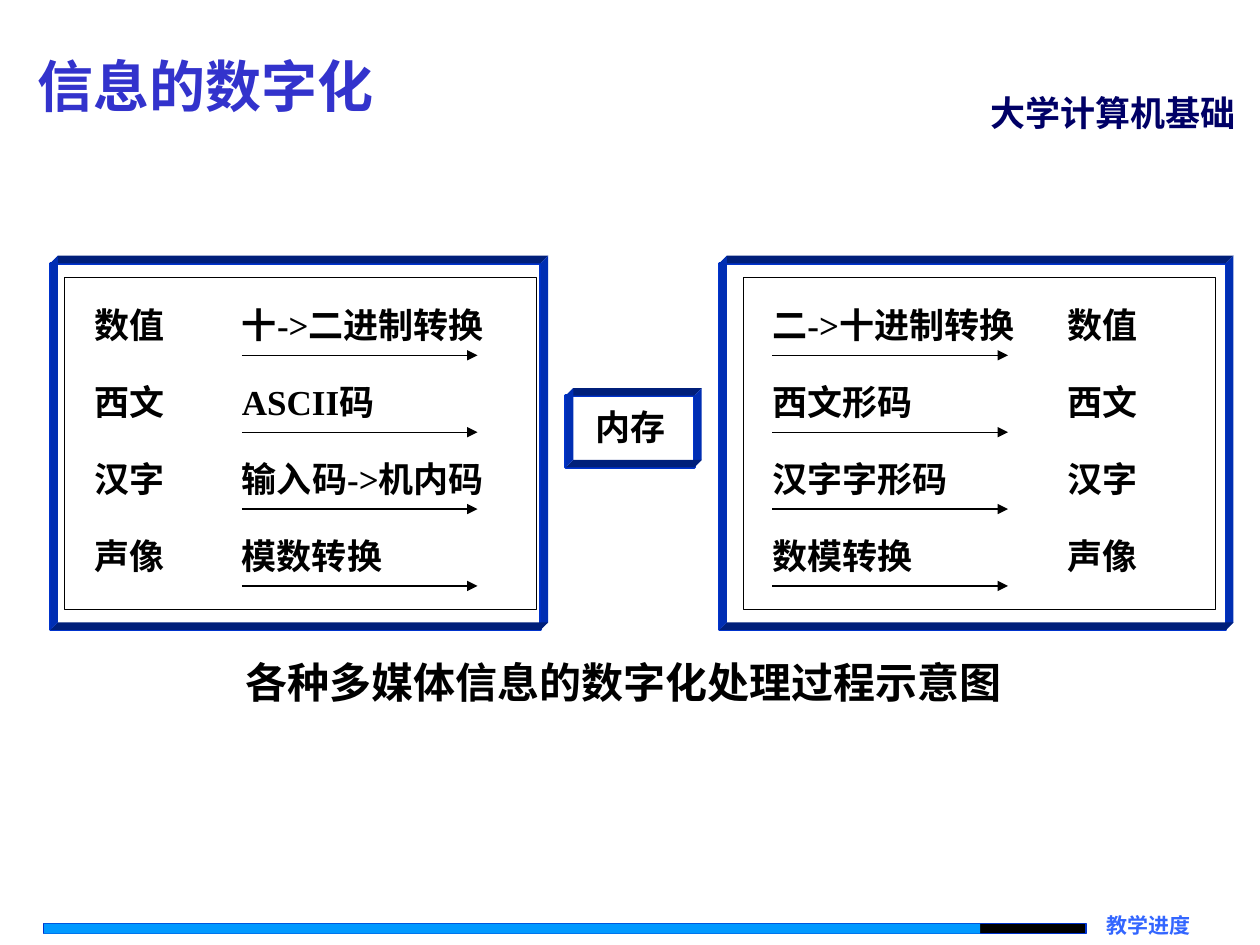
from dataclasses import dataclass

from lxml import etree
from pptx import Presentation
from pptx.dml.color import RGBColor
from pptx.enum.shapes import MSO_CONNECTOR, MSO_SHAPE
from pptx.enum.text import MSO_ANCHOR, PP_ALIGN
from pptx.oxml.ns import qn
from pptx.util import Inches, Pt

RECTANGLE = MSO_SHAPE.RECTANGLE
STRAIGHT = MSO_CONNECTOR.STRAIGHT
TOP, MIDDLE = MSO_ANCHOR.TOP, MSO_ANCHOR.MIDDLE
LEFT, RIGHT, JUSTIFY = PP_ALIGN.LEFT, PP_ALIGN.RIGHT, PP_ALIGN.JUSTIFY


@dataclass(frozen=True)
class Theme:
    latin: str = "Times New Roman"
    chinese: str = "Noto Sans CJK SC"
    black: str = "000000"
    white: str = "FFFFFF"
    title: str = "3333CC"
    course: str = "000066"
    footer: str = "3366FF"
    progress: str = "0099FF"
    frame: str = "0033CC"
    wall_dark: str = "001F7A"
    wall_light: str = "002EB3"
    title_size: int = 32
    caption_size: int = 24
    label_size: int = 20
    footer_size: int = 12
    thin: float = 0.75
    thick: float = 1.5


def write_text(shape, text, *, size, color, font, align=LEFT, anchor=TOP,
               margins=(0.1, 0.05), wrap=True):
    frame = shape.text_frame
    frame.word_wrap = wrap
    frame.vertical_anchor = anchor
    frame.margin_left = frame.margin_right = Inches(margins[0])
    frame.margin_top = frame.margin_bottom = Inches(margins[1])
    para = frame.paragraphs[0]
    para.alignment = align
    span = para.add_run()
    span.text = text
    span.font.size = Pt(size)
    span.font.bold = True
    span.font.name = font
    span.font.color.rgb = RGBColor.from_string(color)
    east_asian = etree.SubElement(span.font._element, qn("a:ea"))
    east_asian.set("typeface", Theme.chinese)


class SlideBuilder:
    def __init__(self, page, theme):
        self.page = page
        self.theme = theme

    def paint(self, shape, fill, line, width):
        shape.shadow.inherit = False
        if fill:
            shape.fill.solid()
            shape.fill.fore_color.rgb = RGBColor.from_string(fill)
        else:
            shape.fill.background()
        if line:
            shape.line.color.rgb = RGBColor.from_string(line)
            shape.line.width = Pt(width)
        else:
            shape.line.fill.background()

    def title(self, text, *place, **style):
        box = self.page.shapes.title
        box.left, box.top, box.width, box.height = map(Inches, place)
        write_text(box, text, **style)

    def text(self, text, *place, **style):
        box = self.page.shapes.add_textbox(*map(Inches, place))
        write_text(box, text, **style)

    def rectangle(self, *place, fill=None, line=None, width=Theme.thin):
        box = self.page.shapes.add_shape(RECTANGLE, *map(Inches, place))
        self.paint(box, fill, line, width)
        return box

    def label(self, text, left, top, width):
        theme = self.theme
        box = self.rectangle(left, top, width, 0.41, fill=theme.white)
        font = theme.latin if any(char.isascii() for char in text) else theme.chinese
        write_text(box, text, size=theme.label_size, color=theme.black,
                   font=font, align=JUSTIFY, margins=(0, 0))

    def arrow(self, left, top, length):
        line = self.page.shapes.add_connector(
            STRAIGHT, *map(Inches, (left, top, left + length, top)))
        line.line.color.rgb = RGBColor.from_string(self.theme.black)
        line.line.width = Pt(self.theme.thin)
        head = etree.SubElement(line.line._get_or_add_ln(), qn("a:tailEnd"))
        head.set("type", "triangle")
        etree.SubElement(line._element.spPr, qn("a:effectLst"))

    def deep_frame(self, left, top, width, height, depth=0.06):
        """Open box whose four walls recede up and to the right."""
        theme = self.theme
        self.rectangle(left, top, width, height, line=theme.frame, width=theme.thick)
        right, bottom = left + width, top + height
        corners = [(left, top), (right, top), (right, bottom), (left, bottom)]
        for index, (x1, y1) in enumerate(corners):
            x2, y2 = corners[(index + 1) % 4]
            outline = self.page.shapes.build_freeform(Inches(x1), Inches(y1))
            outline.add_line_segments(
                [(Inches(x), Inches(y)) for x, y in
                 ((x2, y2), (x2 + depth, y2 - depth), (x1 + depth, y1 - depth))])
            wall = outline.convert_to_shape()
            color = theme.wall_light if index % 2 else theme.wall_dark
            self.paint(wall, color, None, 0)

    def conversion_panel(self, left, names_left, steps_left, names, steps):
        """Bordered panel with a row per kind of data, its step and an arrow."""
        self.rectangle(left, 2.2, 3.75, 2.64, fill=self.theme.white,
                       line=self.theme.black)
        for row, (name, step) in enumerate(zip(names, steps)):
            top = 2.41 + 0.61 * row
            self.label(name, names_left, top, 0.7)
            self.label(step, steps_left, top, 1.64 if row % 2 else 2.11)
            self.arrow(steps_left, top + 0.41, 1.87)


def main():
    deck = Presentation()
    deck.slide_width, deck.slide_height = Inches(10), Inches(7.5)
    theme = Theme()
    builder = SlideBuilder(deck.slides.add_slide(deck.slide_layouts[5]), theme)

    builder.title("信息的数字化", 0.2, 0.36, 4.57, 0.64, size=theme.title_size,
                  color=theme.title, font=theme.latin)
    builder.text("大学计算机基础", 7.76, 0.68, 2.24, 0.43, size=theme.label_size,
                 color=theme.course, font=theme.latin)
    builder.rectangle(0.35, 7.33, 8.27, 0.08, fill=theme.black, line=theme.frame)
    builder.rectangle(0.35, 7.33, 7.43, 0.08, fill=theme.progress)
    builder.text("教学进度", 8.62, 7.24, 0.83, 0.21, size=theme.footer_size,
                 color=theme.footer, font=theme.latin, align=RIGHT,
                 margins=(0, 0), wrap=False)

    names = ["数值", "西文", "汉字", "声像"]
    builder.conversion_panel(0.51, 0.75, 1.92, names,
                             ["十->二进制转换", "ASCII码", "输入码->机内码", "模数转换"])
    builder.conversion_panel(5.9, 8.47, 6.13, names,
                             ["二->十进制转换", "西文形码", "汉字字形码", "数模转换"])
    builder.label("内存", 4.73, 3.22, 0.7)
    builder.text("各种多媒体信息的数字化处理过程示意图", 1.85, 5.16, 6.4, 0.5,
                 size=theme.caption_size, color=theme.black, font=theme.chinese,
                 anchor=MIDDLE, wrap=False)

    for place in ((0.4, 2.09, 3.89, 2.91), (5.71, 2.09, 4.02, 2.91),
                  (4.49, 3.14, 1.02, 0.57)):
        builder.deep_frame(*place)

    deck.save("out.pptx")


if __name__ == "__main__":
    main()
